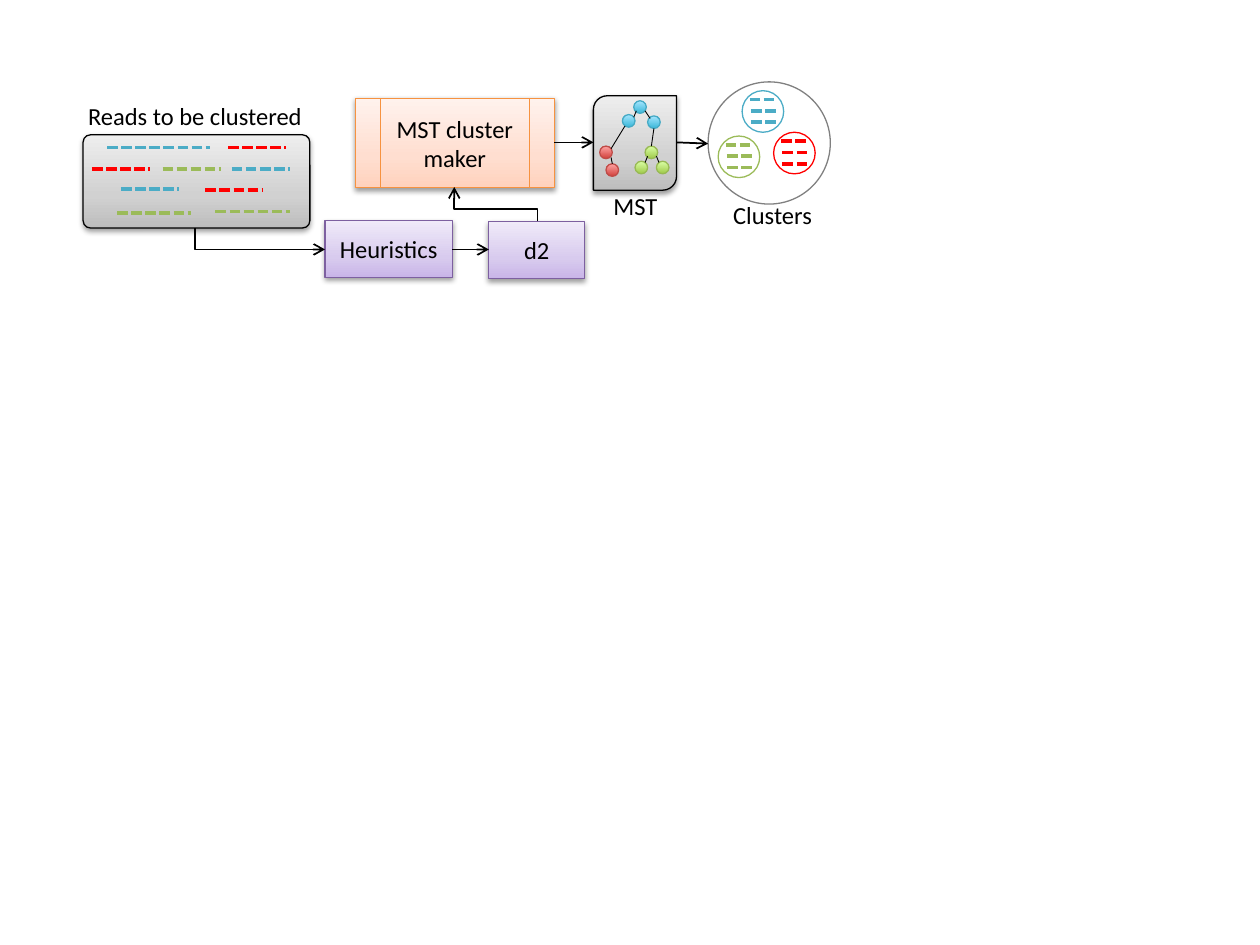
from copy import deepcopy
from lxml.etree import SubElement
from pptx import Presentation
from pptx.dml.color import RGBColor
from pptx.enum.dml import MSO_LINE
from pptx.enum.shapes import MSO_CONNECTOR, MSO_SHAPE
from pptx.enum.text import MSO_ANCHOR, MSO_AUTO_SIZE, PP_ALIGN
from pptx.oxml.ns import qn
from pptx.util import Inches, Pt

BLACK = RGBColor(0x00, 0x00, 0x00)
GREY = RGBColor(0x80, 0x80, 0x80)
BLUE = RGBColor(0x4B, 0xAC, 0xC6)
RED = RGBColor(0xFF, 0x00, 0x00)
GREEN = RGBColor(0x9B, 0xBB, 0x59)
ORANGE = RGBColor(0xF6, 0x92, 0x40)
PURPLE = RGBColor(0x7D, 0x60, 0xA0)
BLUE_RIM = RGBColor(0x46, 0xAA, 0xC5)
GREEN_RIM = RGBColor(0x98, 0xB9, 0x55)
RED_RIM = RGBColor(0xBF, 0x4C, 0x48)

SILVER = [(0, RGBColor(0xBD, 0xBD, 0xBD)), (0.35, RGBColor(0xD1, 0xD1, 0xD1)), (1, RGBColor(0xEE, 0xEE, 0xEE))]
PEACH = [(0, RGBColor(0xFF, 0xD2, 0xBD)), (0.35, RGBColor(0xFF, 0xDE, 0xD0)), (1, RGBColor(0xFF, 0xF2, 0xED))]
LILAC = [(0, RGBColor(0xC9, 0xB5, 0xE8)), (0.35, RGBColor(0xD8, 0xCB, 0xEE)), (1, RGBColor(0xF0, 0xEA, 0xF9))]
SKY = [(0, RGBColor(0x39, 0xB7, 0xD8)), (1, RGBColor(0xA7, 0xE6, 0xFF))]
LIME = [(0, RGBColor(0xA0, 0xCA, 0x4A)), (1, RGBColor(0xDA, 0xFF, 0xA5))]
ROSE = [(0, RGBColor(0xD1, 0x40, 0x3C)), (1, RGBColor(0xFF, 0xA6, 0xA5))]

FONT = {"name": "Calibri", "size": Pt(14)}
TIGHT = {"margin_left": 0, "margin_right": 0}
LABELS = [
    ("Reads to be clustered", (0.6, 0.75, 1.91, 0.34)),
    ("Clusters", (5.72, 1.54, 0.84, 0.34)),
    ("MST", (4.77, 1.47, 0.56, 0.34)),
]
STEPS = [
    ("MST cluster maker", MSO_SHAPE.FLOWCHART_PREDEFINED_PROCESS, (2.82, 0.78, 1.58, 0.71),
     PEACH, ORANGE, {"word_wrap": True, **TIGHT}),
    ("d2", MSO_SHAPE.RECTANGLE, (3.88, 1.76, 0.76, 0.45), LILAC, PURPLE, {"word_wrap": True}),
    ("Heuristics", MSO_SHAPE.RECTANGLE, (2.58, 1.75, 1.01, 0.45),
     LILAC, PURPLE, {"word_wrap": False, **TIGHT}),
]
NODES = [
    (SKY, BLUE_RIM, [(5.03, 0.8), (4.94, 0.91), (5.14, 0.92)]),
    (LIME, GREEN_RIM, [(5.12, 1.16), (5.04, 1.28), (5.21, 1.28)]),
    (ROSE, RED_RIM, [(4.76, 1.16), (4.81, 1.3)]),
]
EDGES = [
    (5.12, 0.88, 5.16, 0.94), (5.05, 0.88, 5.03, 0.93), (4.96, 1, 4.85, 1.18),
    (4.85, 1.25, 4.86, 1.3), (5.19, 1.02, 5.17, 1.16), (5.21, 1.24, 5.23, 1.29),
    (5.14, 1.24, 5.12, 1.29),
]
READS = [
    (BLUE, [(0.85, 1.17, 0.82), (1.84, 1.34, 0.46), (0.96, 1.5, 0.46)]),
    (RED, [(1.81, 1.17, 0.46), (0.73, 1.34, 0.46), (1.63, 1.51, 0.46)]),
    (GREEN, [(0.93, 1.69, 0.59), (1.29, 1.34, 0.46), (1.71, 1.68, 0.59)]),
]
GROUPS = [(BLUE, 5.89, 0.72), (RED, 6.14, 1.05), (GREEN, 5.7, 1.08)]
DASHES = [(0.06, 0.07), (0.07, 0.16), (0.07, 0.25)]
ARROWS = [(4.4, 1.13, 4.71, 1.13), (3.59, 1.98, 3.88, 1.98), (5.37, 1.13, 5.62, 1.14)]
BENDS = [
    ("bentConnector2", (1.98, 1.38, 0.17, 1.03), "flipH", None),
    ("bentConnector3", (3.8, 1.29, 0.27, 0.66), "flipV", 36200),
]


def put(item, values):
    for key, value in values.items():
        setattr(item, key, value)


def write(shape, text, form, align):
    frame = shape.text_frame
    put(frame, form)
    para = frame.paragraphs[0]
    para.alignment = align
    run = para.add_run()
    run.text = text
    put(run.font, FONT)
    run.font.color.rgb = BLACK


def shade(shape, stops):
    fill = shape.fill
    fill.gradient()
    fill.gradient_angle = 90
    stack = shape._element.spPr.find(".//" + qn("a:gsLst"))
    for _ in stops[2:]:
        stack.append(deepcopy(stack[0]))
    for stop, (place, tint) in zip(fill.gradient_stops, stops):
        stop.position = place
        stop.color.rgb = tint


def draw(home, kind, box, stops, rim, cast=False):
    shape = home.add_shape(kind, *map(Inches, box))
    if stops:
        shade(shape, stops)
    else:
        shape.fill.background()
    shape.line.color.rgb = rim
    shape.line.width = Pt(0.75)
    shape.shadow.inherit = False
    if cast:
        glow = shape._element.spPr.find(qn("a:effectLst"))
        drop = SubElement(glow, qn("a:outerShdw"), blurRad=str(Pt(3.1)),
                          dist=str(Pt(1.6)), dir="5400000", rotWithShape="0")
        tint = SubElement(drop, qn("a:srgbClr"), val=str(BLACK))
        SubElement(tint, qn("a:alpha"), val="38000")
    return shape


def join(home, ends, tint, width, dash=False, arrow=False):
    link = home.add_connector(MSO_CONNECTOR.STRAIGHT, *map(Inches, ends))
    link.line.color.rgb = tint
    link.line.width = Pt(width)
    if dash:
        link.line.dash_style = MSO_LINE.SQUARE_DOT
    props = link._element.spPr
    if arrow:
        SubElement(props.find(qn("a:ln")), qn("a:tailEnd"), type="arrow")
    SubElement(props, qn("a:effectLst"))
    return link


def bend(home, kind, box, flip, turn):
    left, top, wide, high = box
    link = join(home, (left, top, left + wide, top + high), BLACK, 1, arrow=True)
    props = link._element.spPr
    frame = props.find(qn("a:xfrm"))
    frame.set("rot", "16200000")
    frame.set(flip, "1")
    shape = props.find(qn("a:prstGeom"))
    shape.set("prst", kind)
    if turn:
        SubElement(shape.find(qn("a:avLst")), qn("a:gd"), name="adj1", fmla=f"val {turn}")


def main():
    deck = Presentation()
    deck.slide_width, deck.slide_height = Inches(10), Inches(7.5)
    page = deck.slides.add_slide(deck.slide_layouts[6]).shapes

    tree = page.add_group_shape().shapes
    draw(tree, MSO_SHAPE.ROUND_2_DIAG_RECTANGLE, (4.71, 0.76, 0.66, 0.75), SILVER, BLACK, True)
    for stops, rim, spots in NODES:
        for x, y in spots:
            draw(tree, MSO_SHAPE.OVAL, (x, y, 0.1, 0.1), stops, rim)
    for ends in EDGES:
        join(tree, ends, BLACK, 0.5)

    pool = page.add_group_shape().shapes
    tray = draw(pool, MSO_SHAPE.ROUNDED_RECTANGLE, (0.66, 1.07, 1.8, 0.74), SILVER, BLACK, True)
    tray.adjustments[0] = 0.08
    for tint, rows in READS:
        for x, y, wide in rows:
            join(pool, (x, y, x + wide, y), tint, 2, dash=True)

    for tint, left, top in GROUPS:
        ring = page.add_group_shape().shapes
        draw(ring, MSO_SHAPE.OVAL, (left, top, 0.33, 0.33), None, tint)
        for dx, dy in DASHES:
            x, y = left + dx, top + dy
            join(ring, (x, y, x + 0.22, y), tint, 2, dash=True)
    draw(page, MSO_SHAPE.OVAL, (5.62, 0.65, 0.97, 0.97), None, GREY)

    for text, kind, box, stops, rim, form in STEPS:
        step = draw(page, kind, box, stops, rim, True)
        write(step, text, {"vertical_anchor": MSO_ANCHOR.MIDDLE, **form}, PP_ALIGN.CENTER)
    for item in BENDS:
        bend(page, *item)
    for ends in ARROWS:
        join(page, ends, BLACK, 1, arrow=True)
    for text, box in LABELS:
        label = page.add_textbox(*map(Inches, box))
        form = {"word_wrap": False, "auto_size": MSO_AUTO_SIZE.SHAPE_TO_FIT_TEXT}
        write(label, text, form, PP_ALIGN.LEFT)

    deck.save("out.pptx")


if __name__ == "__main__":
    main()
